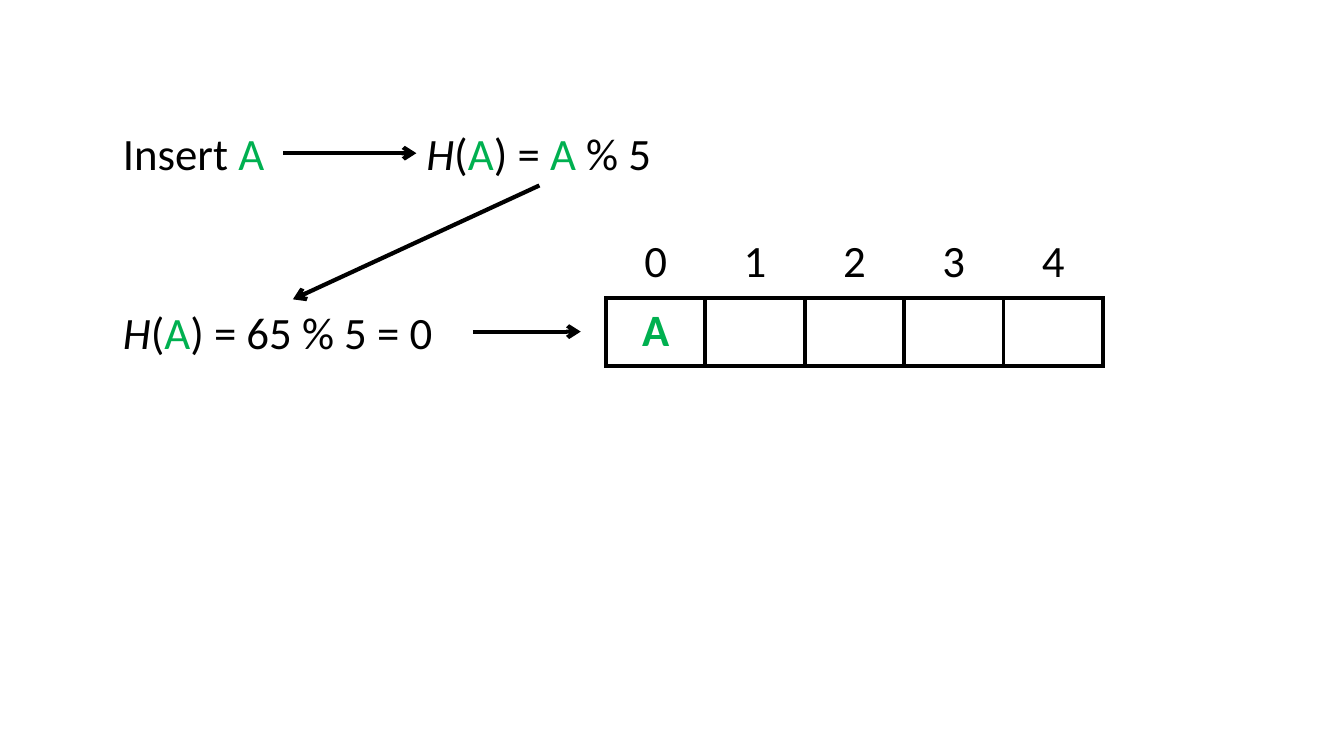
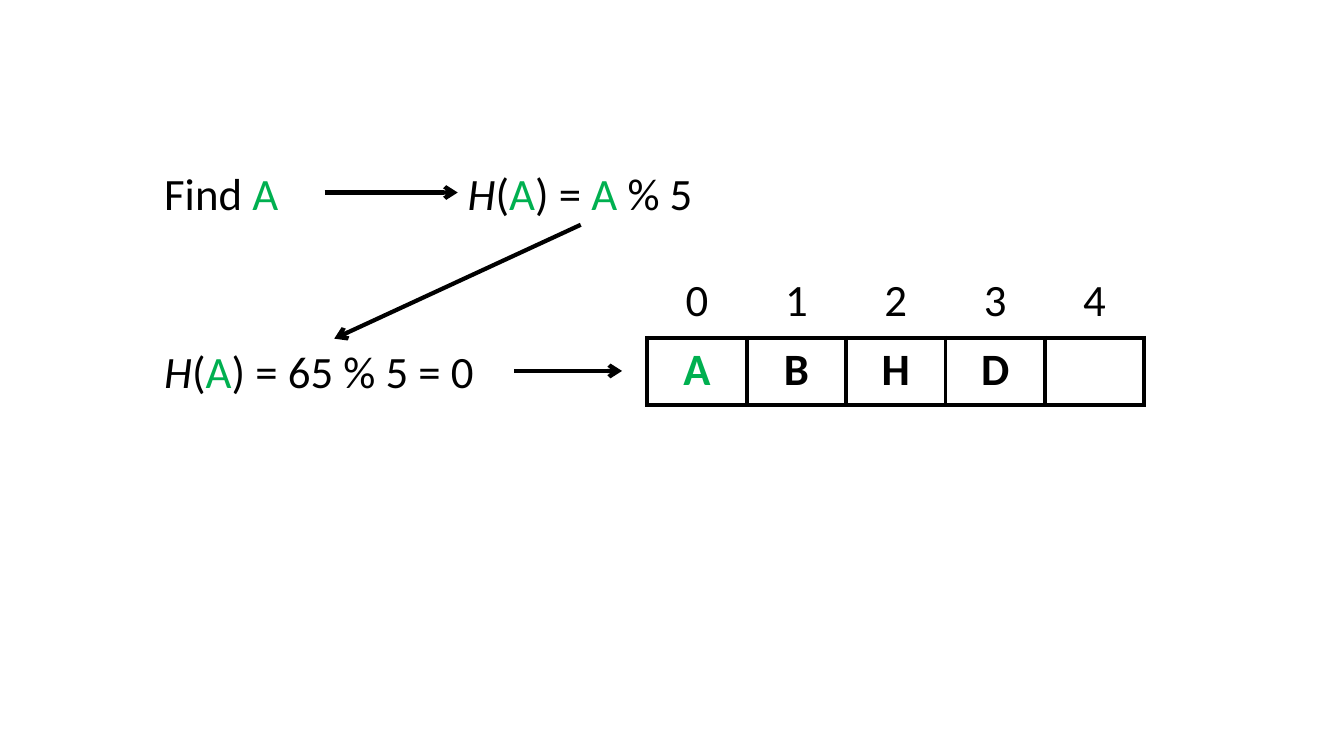
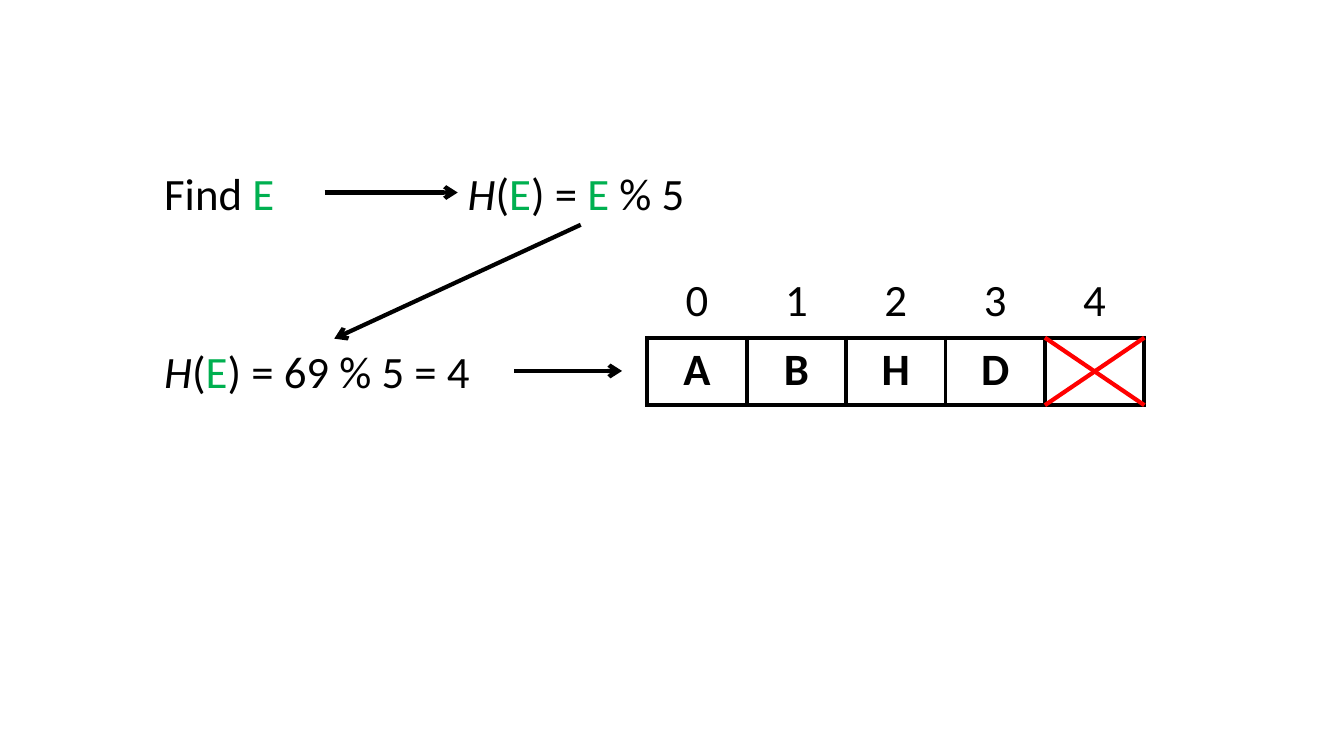
"""Build three slides that show insertion and lookup in a five-slot hash table."""
from lxml.etree import SubElement
from pptx import Presentation
from pptx.dml.color import RGBColor
from pptx.enum.shapes import MSO_CONNECTOR
from pptx.enum.text import MSO_AUTO_SIZE, PP_ALIGN
from pptx.oxml.ns import qn
from pptx.util import Inches, Pt

THEME = {
    "ink": RGBColor.from_string("000000"),
    "key": RGBColor.from_string("00B050"),
    "miss": RGBColor.from_string("FF0000"),
    "paper": RGBColor.from_string("FFFFFF"),
    "text": {"name": "Calibri", "size": Pt(32)},
    "line": Pt(3),
    "no_grid": "{2D5ABB26-0587-4C30-8999-92F81FD0307C}",
}
BLANK = 6
SLOTS = 5
CELL_W, CELL_H = 4.93 / SLOTS, 0.67
GRID_X, INDEX_Y, SLOT_Y = 4.89, 1.08, 1.76
TEXT_H = 0.64


def add_run(p, text, color="ink", **fmt):
    """Append a run in the theme's type with extra format values."""
    r = p.add_run()
    r.text = text
    for name, value in {**THEME["text"], **fmt}.items():
        setattr(r.font, name, value)
    r.font.color.rgb = THEME[color]


def add_text(s, x, y, w, runs):
    """Add a one-line text box; a run is (text, color, italic)."""
    sp = s.shapes.add_textbox(Inches(x), Inches(y), Inches(w), Inches(TEXT_H))
    tf = sp.text_frame
    tf.word_wrap = True
    tf.auto_size = MSO_AUTO_SIZE.SHAPE_TO_FIT_TEXT
    for text, color, italic in runs:
        add_run(tf.paragraphs[0], text, color, italic=italic)
    return sp


def add_line(s, start, end, color="ink", arrow=False):
    """Add a straight line between two points, with an optional arrowhead."""
    points = [Inches(v) for v in (*start, *end)]
    sp = s.shapes.add_connector(MSO_CONNECTOR.STRAIGHT, *points)
    sp.line.color.rgb = THEME[color]
    sp.line.width = THEME["line"]
    spPr = sp._element.spPr
    if arrow:
        SubElement(spPr.find(qn("a:ln")), qn("a:tailEnd"), type="arrow")
    SubElement(spPr, qn("a:effectLst"))
    return sp


def add_borders(cell):
    """Draw all four borders of a table cell."""
    tcPr = cell._tc.get_or_add_tcPr()
    for side in ("lnL", "lnR", "lnT", "lnB"):
        ln = SubElement(tcPr, qn(f"a:{side}"), w=str(THEME["line"]))
        fill = SubElement(ln, qn("a:solidFill"))
        SubElement(fill, qn("a:srgbClr"), val=str(THEME["ink"]))


def add_row(s, x, y, texts, boxed=False, key=None):
    """Add a one-row table, either plain or with boxed bold cells."""
    frame = s.shapes.add_table(1, SLOTS, Inches(x), Inches(y),
                               Inches(CELL_W * SLOTS), Inches(CELL_H))
    table = frame.table
    table.first_row = table.horz_banding = False
    next(frame._element.iter(qn("a:tableStyleId"))).text = THEME["no_grid"]
    for cell, text in zip(table.iter_cells(), texts):
        if boxed:
            add_borders(cell)
            cell.fill.solid()
            cell.fill.fore_color.rgb = THEME["paper"]
        else:
            cell.fill.background()
        if text:
            p = cell.text_frame.paragraphs[0]
            p.alignment = PP_ALIGN.CENTER
            add_run(p, text, "key" if text == key else "ink", bold=boxed)


def add_cross(s, x, y):
    """Cross out one table cell."""
    right, bottom = x + CELL_W, y + CELL_H
    add_line(s, (x, y), (right, bottom), "miss")
    add_line(s, (x, bottom), (right, y), "miss")


def add_hash_slide(prs, origin, action, key, slots, missing=False):
    """Add a slide that hashes a key and points at its slot."""
    s = prs.slides.add_slide(prs.slide_layouts[BLANK])
    x, y = origin
    code = ord(key)
    index = code % SLOTS
    call = [("H", "ink", True), ("(", "ink", False), (key, "key", False)]

    add_row(s, x + GRID_X, y + SLOT_Y, slots, boxed=True, key=key)
    request = add_text(s, x, y, 1.69, [(f"{action} ", "ink", False), (key, "key", False)])
    formula = add_text(s, x + 3.01, y, 2.44, call + [
        (") = ", "ink", False), (key, "key", False), (f" % {SLOTS}", "ink", False)])
    result = add_text(s, x, y + 1.77, 3.57, call + [
        (f") = {code} % {SLOTS} = {index}", "ink", False)])

    arrow = add_line(s, (x + 1.69, y + 0.32), (x + 3.01, y + 0.32), arrow=True)
    arrow.begin_connect(request, 3)
    arrow.end_connect(formula, 1)
    arrow = add_line(s, (x + 4.23, y + 0.64), (x + 1.79, y + 1.77), arrow=True)
    arrow.begin_connect(formula, 2)
    arrow.end_connect(result, 0)
    arrow = add_line(s, (x + 3.57, y + 2.09), (x + 4.64, y + 2.09), arrow=True)
    arrow.begin_connect(result, 3)

    add_row(s, x + GRID_X, y + INDEX_Y, [str(i) for i in range(SLOTS)])
    if missing:
        add_cross(s, x + GRID_X + index * CELL_W, y + SLOT_Y)


def main():
    """Build and save the presentation."""
    prs = Presentation()
    prs.slide_width, prs.slide_height = Inches(13.33), Inches(7.5)
    filled = ["A", "B", "H", "D", ""]
    add_hash_slide(prs, (1.12, 1.2), "Insert", "A", ["A", "", "", "", ""])
    add_hash_slide(prs, (1.53, 1.59), "Find", "A", filled)
    add_hash_slide(prs, (1.53, 1.59), "Find", "E", filled, missing=True)
    prs.save("out.pptx")


if __name__ == "__main__":
    main()
